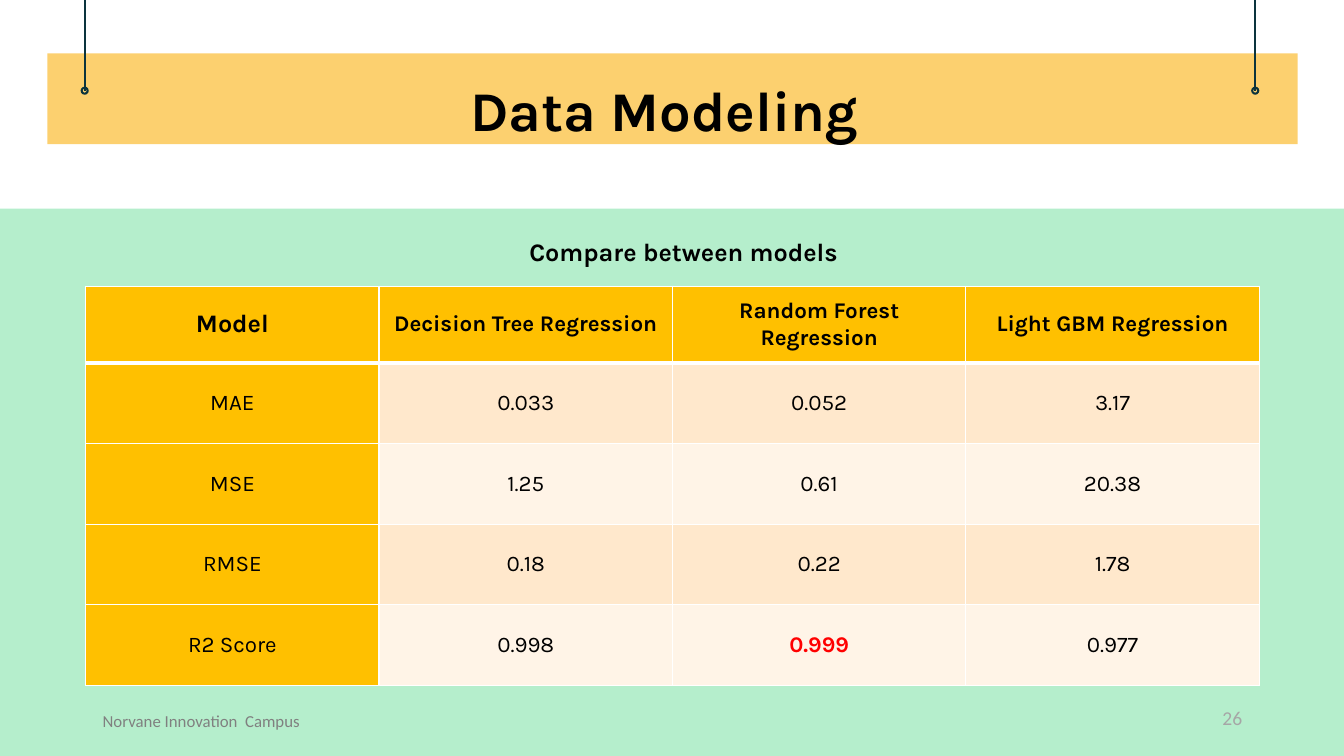
from lxml import etree
from pptx import Presentation
from pptx.dml.color import RGBColor
from pptx.enum.shapes import MSO_CONNECTOR, MSO_SHAPE
from pptx.enum.text import MSO_ANCHOR, PP_ALIGN
from pptx.oxml.ns import qn
from pptx.util import Inches, Pt

RECT, RING = MSO_SHAPE.RECTANGLE, MSO_SHAPE.DONUT
LINE = MSO_CONNECTOR.STRAIGHT
LEFT, MID, RIGHT = PP_ALIGN.LEFT, PP_ALIGN.CENTER, PP_ALIGN.RIGHT
TOP, CENTER = MSO_ANCHOR.TOP, MSO_ANCHOR.MIDDLE

BLACK = RGBColor(0x00, 0x00, 0x00)
RED = RGBColor(0xFF, 0x00, 0x00)
MINT = RGBColor(0xB5, 0xEE, 0xCC)
SAND = RGBColor(0xFC, 0xD0, 0x6F)
NAVY = RGBColor(0x0C, 0x34, 0x3D)
GOLD = RGBColor(0xFF, 0xC0, 0x00)
PEACH = RGBColor(0xFF, 0xE8, 0xCC)
CREAM = RGBColor(0xFF, 0xF4, 0xE7)
GREY = RGBColor(0x80, 0x80, 0x80)
PALE = RGBColor(0xA6, 0xA6, 0xA6)

TITLE = "Data Modeling "
ROWS = [
    ("Model", "Decision Tree Regression", "Random Forest Regression",
     "Light GBM Regression"),
    ("MAE", "0.033", "0.052", "3.17"),
    ("MSE", "1.25", "0.61", "20.38"),
    ("RMSE", "0.18", "0.22", "1.78"),
    ("R2 Score", "0.998", "0.999", "0.977"),
]
BEST = (4, 2)
LABELS = [
    ("Compare between models", (0.81, 2.3, 11.94, 0.4), MID, TOP,
     "Karla", 18, BLACK, True),
    ("26", (9.42, 6.95, 3, 0.4), RIGHT, TOP, "Calibri", 14, PALE, False),
    ("Norvane Innovation  Campus", (0.92, 6.95, 8, 0.4), LEFT, CENTER,
     "Calibri", 12, GREY, False),
]
BLOCKS = [((-0.03, 2.07, 13.4, 5.43), MINT), ((0.47, 0.53, 12.4, 0.9), SAND)]
PINS = (0.84, 12.45)
PIN_END, RING_SIZE = 0.9, 0.07
COL_W, HEAD_H, ROW_H = 2.91, 0.76, 0.8


def inch(box):
    return [Inches(v) for v in box]


def write(frame, text, align, font, size, color, bold):
    para = frame.paragraphs[0]
    para.alignment = align
    run = para.add_run()
    run.text = text
    run.font.name, run.font.size = font, Pt(size)
    run.font.bold = bold
    run.font.color.rgb = color
    return para


def add_block(slide, kind, box, color):
    shape = slide.shapes.add_shape(kind, *inch(box))
    shape.shadow.inherit = False
    shape.fill.solid()
    shape.fill.fore_color.rgb = color
    shape.line.fill.background()
    return shape


def add_pin(slide, x):
    pin = slide.shapes.add_connector(
        LINE, Inches(x), 0, Inches(x), Inches(PIN_END))
    pin.line.color.rgb = NAVY
    pin.line.width = Pt(1.5)
    etree.SubElement(pin._element.spPr, qn("a:effectLst"))
    half = RING_SIZE / 2
    ring = add_block(slide, RING,
                     (x - half, PIN_END - half, RING_SIZE, RING_SIZE), NAVY)
    ring.adjustments[0] = 0.15
    ring.line.color.rgb = NAVY
    ring.line.width = Pt(0.75)


def add_edges(cell, widths):
    props = cell._tc.get_or_add_tcPr()
    for side, width in zip("LRTB", widths):
        edge = etree.SubElement(props, qn("a:ln" + side), w=str(Pt(width)))
        fill = etree.SubElement(edge, qn("a:solidFill"))
        etree.SubElement(fill, qn("a:srgbClr"), val="FFFFFF")


def add_grid(slide):
    count = len(ROWS[0])
    high = HEAD_H + ROW_H * (len(ROWS) - 1)
    table = slide.shapes.add_table(
        len(ROWS), count, *inch((0.85, 2.84, COL_W * count, high))).table
    for col in table.columns:
        col.width = Inches(COL_W)
    for r, row in enumerate(ROWS):
        table.rows[r].height = Inches(ROW_H if r else HEAD_H)
        for c, text in enumerate(row):
            cell = table.cell(r, c)
            add_edges(cell, (1, 1, 3 if r == 1 else 1, 1 if r else 3))
            cell.fill.solid()
            band = PEACH if r % 2 else CREAM
            cell.fill.fore_color.rgb = band if r and c else GOLD
            cell.vertical_anchor = CENTER
            best = (r, c) == BEST
            write(cell.text_frame, text, MID, "Karla", 16 if r or c else 18,
                  RED if best else BLACK, r == 0 or best)


def add_title(slide):
    title = slide.shapes.title
    title.left, title.top, title.width, title.height = inch(
        (2, 0.61, 9.32, 0.84))
    frame = title.text_frame
    frame.vertical_anchor = CENTER
    frame.margin_left = frame.margin_right = Inches(0.1)
    frame.margin_top = frame.margin_bottom = Inches(0.1)
    para = write(frame, TITLE, MID, "Karla", 40, BLACK, True)
    para.line_spacing = 1.15
    tree = slide.shapes._spTree
    tree.remove(title._element)
    tree.append(title._element)


def main():
    deck = Presentation()
    deck.slide_width, deck.slide_height = Inches(13.33), Inches(7.5)
    slide = deck.slides.add_slide(deck.slide_layouts[5])
    for box, color in BLOCKS:
        add_block(slide, RECT, box, color)
    for x in PINS:
        add_pin(slide, x)
    add_title(slide)
    add_grid(slide)
    for text, box, align, anchor, *style in LABELS:
        frame = slide.shapes.add_textbox(*inch(box)).text_frame
        frame.word_wrap = True
        frame.vertical_anchor = anchor
        write(frame, text, align, *style)
    deck.save("out.pptx")


if __name__ == "__main__":
    main()
